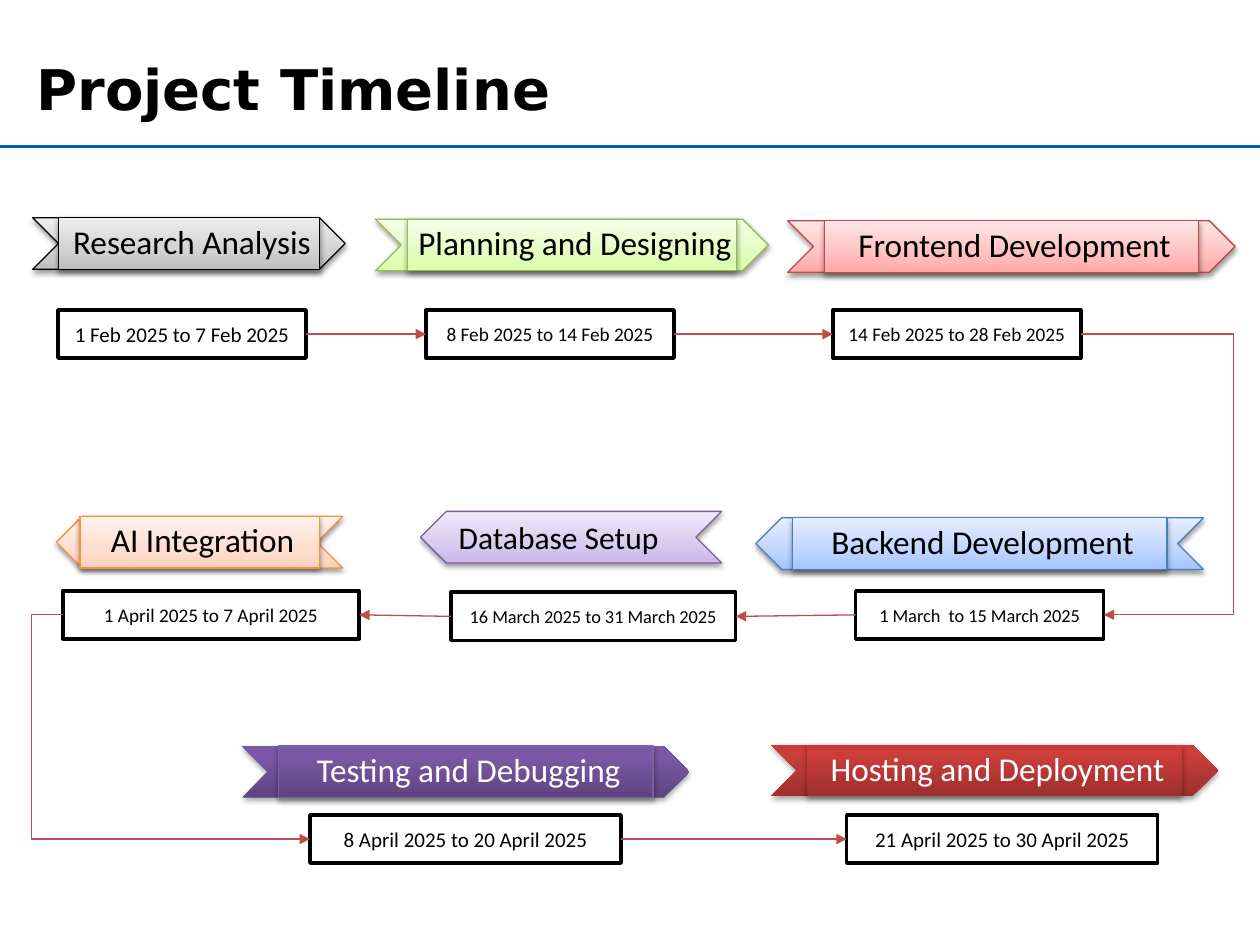
from copy import deepcopy

from pptx import Presentation
from pptx.dml.color import RGBColor
from pptx.enum.shapes import MSO_CONNECTOR, MSO_SHAPE
from pptx.enum.text import MSO_ANCHOR, PP_ALIGN
from pptx.oxml import parse_xml
from pptx.oxml.ns import nsdecls, qn
from pptx.util import Cm, Pt

CHEVRON, RECTANGLE = MSO_SHAPE.CHEVRON, MSO_SHAPE.RECTANGLE
STRAIGHT, ELBOW = MSO_CONNECTOR.STRAIGHT, MSO_CONNECTOR.ELBOW
LEFT, CENTER = PP_ALIGN.LEFT, PP_ALIGN.CENTER
TOP, MIDDLE = MSO_ANCHOR.TOP, MSO_ANCHOR.MIDDLE
LEFT_SIDE, RIGHT_SIDE = 1, 3

TITLE_ONLY = 5
BLACK, WHITE, ARROW_RED, RULE_BLUE = "000000", "FFFFFF", "BF4C48", "0060AA"
BANNER_HEIGHT, DATE_HEIGHT = 1.04, 0.97
BAND_INSET = 0.0815  # share of the banner width left free on each side
PALE_STOPS, DARK_STOPS = (0, 0.35, 1), (0, 0.8, 1)

# text, left, top, width, gradient colours, chevron line, band line, points left
BANNERS = [
    ("Research Analysis", 0.66, 4.39, 6.3,
     ("BDBDBD", "D1D1D1", "EEEEEE"), BLACK, BLACK, False),
    ("Planning and Designing", 7.57, 4.42, 7.92,
     ("DAFDA7", "E4FCC2", "F5FFE7"), "98B955", "98B955", False),
    ("Frontend Development", 15.88, 4.45, 9.02,
     ("FFA6A5", "FFC0BF", "FFE7E7"), "BF4C48", "BF4C48", False),
    ("Backend Development", 15.24, 10.44, 9.02,
     ("A4C4FF", "BFD4FF", "E6EEFF"), "4B7EBC", "4B7EBC", True),
    ("AI Integration", 1.14, 10.41, 5.77,
     ("FFD2BD", "FFDED0", "FFF2ED"), "F69240", "F69240", True),
]
DARK_BANNERS = [
    ("Testing and Debugging", 4.88, 15.04, 9.02,
     ("5F4480", "7B58A6", "7C57A8"), None, "7D60A0", False),
    ("Hosting and Deployment", 15.54, 15.01, 9.02,
     ("9C2F2D", "CB3E3A", "CE3B37"), None, None, False),
]
# In order of time: text, left, top, width, font size
DATES = [
    ("1 Feb 2025 to 7 Feb 2025", 1.17, 6.25, 5, 12),
    ("8 Feb 2025 to 14 Feb 2025", 8.59, 6.25, 5, 11),
    ("14 Feb 2025 to 28 Feb 2025", 16.79, 6.25, 5, 11),
    ("1 March  to 15 March 2025", 17.25, 11.91, 5, 10.5),
    ("16 March 2025 to 31 March 2025", 9.09, 11.94, 5.74, 10.5),
    ("1 April 2025 to 7 April 2025", 1.27, 11.91, 5.97, 11),
    ("8 April 2025 to 20 April 2025", 6.25, 16.43, 6.27, 12),
    ("21 April 2025 to 30 April 2025", 17.07, 16.43, 6.27, 12),
]
# Between consecutive dates: side left, side reached, x of the bend
ARROWS = [
    (RIGHT_SIDE, LEFT_SIDE, None),
    (RIGHT_SIDE, LEFT_SIDE, None),
    (RIGHT_SIDE, RIGHT_SIDE, 24.87),
    (LEFT_SIDE, RIGHT_SIDE, None),
    (LEFT_SIDE, RIGHT_SIDE, None),
    (LEFT_SIDE, LEFT_SIDE, 0.64),
    (RIGHT_SIDE, LEFT_SIDE, None),
]


def rgb(value):
    return RGBColor.from_string(value)


def set_line(shape, color, width=0.75):
    if color is None:
        shape.line.fill.background()
        return
    shape.line.color.rgb = rgb(color)
    shape.line.width = Pt(width)


def set_gradient(shape, colors, positions):
    """Fill with a three-stop gradient that runs from bottom to top."""
    shape.fill.gradient()
    shape.fill.gradient_angle = 90
    stop_list = shape._element.spPr.find(qn("a:gradFill")).find(qn("a:gsLst"))
    stop_list.append(deepcopy(stop_list[-1]))
    for stop, color, position in zip(shape.fill.gradient_stops, colors, positions):
        stop.color.rgb = rgb(color)
        stop.position = position


def set_shadow(shape, opacity):
    shape.shadow.inherit = False
    effects = shape._element.spPr.find(qn("a:effectLst"))
    effects.append(parse_xml(
        f'<a:outerShdw {nsdecls("a")} blurRad="{Pt(3.1)}" dist="{Pt(1.6)}" '
        'dir="5400000" rotWithShape="0"><a:srgbClr val="000000">'
        f'<a:alpha val="{opacity * 1000}"/></a:srgbClr></a:outerShdw>'))


def set_text(shape, text, size, color=BLACK, align=CENTER, anchor=MIDDLE,
             font="Calibri", bold=False):
    frame = shape.text_frame
    frame.text = text
    frame.word_wrap = True
    frame.vertical_anchor = anchor
    paragraph = frame.paragraphs[0]
    paragraph.alignment = align
    paragraph.font.name = font
    paragraph.font.size = Pt(size)
    paragraph.font.bold = bold
    paragraph.font.color.rgb = rgb(color)
    return paragraph


def add_ribbon_part(shapes, kind, left, top, width, colors, positions, line,
                    opacity, points_left):
    part = shapes.add_shape(kind, Cm(left), Cm(top), Cm(width), Cm(BANNER_HEIGHT))
    set_gradient(part, colors, positions)
    set_line(part, line)
    set_shadow(part, opacity)
    if points_left:
        part._element.spPr.xfrm.set("flipH", "1")
    return part


def add_banner(slide, banner, positions, opacity, text_color):
    """Group a chevron with a labelled band across its middle."""
    text, left, top, width, colors, chevron_line, band_line, points_left = banner
    group = slide.shapes.add_group_shape().shapes
    add_ribbon_part(group, CHEVRON, left, top, width, colors, positions,
                    chevron_line, opacity, points_left)
    inset = width * BAND_INSET
    band = add_ribbon_part(group, RECTANGLE, left + inset, top, width - 2 * inset,
                           colors, positions, band_line, opacity, points_left)
    set_text(band, text, 19, text_color).line_spacing = 0.9
    frame = band.text_frame
    frame.margin_left = Cm(0.2)
    frame.margin_top = frame.margin_right = frame.margin_bottom = Cm(0.08)


def add_date(slide, text, left, top, width, size):
    box = slide.shapes.add_shape(RECTANGLE, Cm(left), Cm(top), Cm(width),
                                 Cm(DATE_HEIGHT))
    box.shadow.inherit = False
    box.fill.solid()
    box.fill.fore_color.rgb = rgb(WHITE)
    set_line(box, BLACK, 2)
    set_text(box, text, size)
    return box


def add_line(slide, kind, color, width, start=(0, 0), end=(0, 0)):
    line = slide.shapes.add_connector(kind, *map(Cm, start + end))
    set_line(line, color, width)
    line._element.spPr.append(parse_xml(f'<a:effectLst {nsdecls("a")}/>'))
    return line


def add_arrow(slide, source, target, source_side, target_side, bend_x):
    arrow = add_line(slide, ELBOW if bend_x else STRAIGHT, ARROW_RED, 0.75)
    arrow.begin_connect(source, source_side)
    arrow.end_connect(target, target_side)
    arrow.line._get_or_add_ln().append(
        parse_xml(f'<a:tailEnd {nsdecls("a")} type="triangle"/>'))
    if bend_x:
        bend = (Cm(bend_x) - arrow.begin_x) / (arrow.end_x - arrow.begin_x)
        guides = arrow._element.spPr.find(qn("a:prstGeom")).get_or_add_avLst()
        guides.append(parse_xml(
            f'<a:gd {nsdecls("a")} name="adj1" fmla="val {round(bend * 100000)}"/>'))


def add_title(slide, text):
    title = slide.shapes.title
    title.left, title.top, title.width, title.height = map(
        Cm, (0.48, 0.97, 23.01, 1.63))
    set_text(title, text, 32, align=LEFT, font="DejaVu Sans", bold=True)
    add_line(slide, STRAIGHT, RULE_BLUE, 2, (0, 2.95), (25.5, 2.95))


def main():
    deck = Presentation()
    deck.slide_width, deck.slide_height = Cm(25.4), Cm(19.05)
    slide = deck.slides.add_slide(deck.slide_layouts[TITLE_ONLY])
    add_title(slide, "Project Timeline")

    for banner in BANNERS:
        add_banner(slide, banner, PALE_STOPS, 38, BLACK)
    for banner in DARK_BANNERS:
        add_banner(slide, banner, DARK_STOPS, 35, WHITE)
    database = add_ribbon_part(slide.shapes, CHEVRON, 8.48, 10.31, 6.07,
                               ("C9B5E8", "D8CBEE", "F0EAF9"), PALE_STOPS,
                               "7D60A0", 38, True)
    set_text(database, "Database Setup", 18, align=LEFT, anchor=TOP)

    dates = [add_date(slide, *date) for date in DATES]
    for source, target, arrow in zip(dates, dates[1:], ARROWS):
        add_arrow(slide, source, target, *arrow)
    deck.save("out.pptx")


if __name__ == "__main__":
    main()
